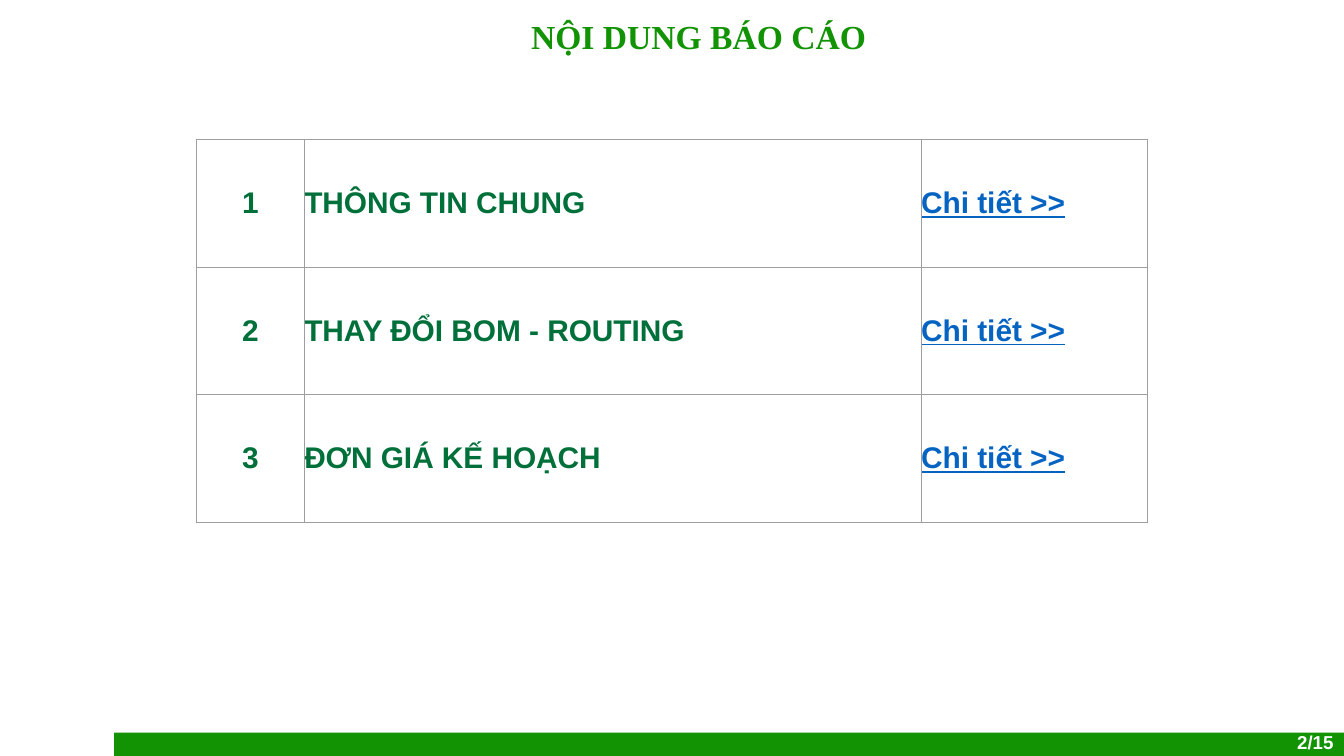
from lxml.etree import SubElement
from pptx import Presentation
from pptx.dml.color import RGBColor
from pptx.enum.shapes import MSO_SHAPE
from pptx.enum.text import MSO_ANCHOR, MSO_AUTO_SIZE, PP_ALIGN
from pptx.oxml.ns import qn
from pptx.util import Cm, Pt

GREEN = RGBColor(0x11, 0x93, 0x03)
DARK_GREEN = RGBColor(0x00, 0x70, 0x3B)
LINK_BLUE = RGBColor(0x05, 0x63, 0xC1)
GRAY = RGBColor(0x9E, 0x9E, 0x9E)
WHITE = RGBColor(0xFF, 0xFF, 0xFF)

SECTIONS = ["THÔNG TIN CHUNG", "THAY ĐỔI BOM - ROUTING", "ĐƠN GIÁ KẾ HOẠCH"]


def write_text(tf, text, *, size, color, font="Arial", align=PP_ALIGN.LEFT,
               anchor=MSO_ANCHOR.MIDDLE, underline=False):
    tf.word_wrap = True
    tf.vertical_anchor = anchor
    p = tf.paragraphs[0]
    p.alignment = align
    r = p.add_run()
    r.text = text
    r.font.name = font
    r.font.size = Pt(size)
    r.font.bold = True
    r.font.underline = underline
    r.font.color.rgb = color


class SlideBuilder:
    accent = GREEN
    border_color = GRAY
    border_width = Pt(0.75)

    def __init__(self, slide):
        self.s = slide

    def title(self, text, left, top, width, height):
        sp = self.s.shapes.title
        sp.left, sp.top, sp.width, sp.height = map(Cm, (left, top, width, height))
        write_text(sp.text_frame, text, size=18, color=self.accent,
                   font="Times New Roman", align=PP_ALIGN.CENTER)
        sp.text_frame.auto_size = MSO_AUTO_SIZE.SHAPE_TO_FIT_TEXT

    def bar(self, left, top, width, height):
        sp = self.s.shapes.add_shape(MSO_SHAPE.RECTANGLE,
                                     *map(Cm, (left, top, width, height)))
        sp.shadow.inherit = False
        sp.fill.solid()
        sp.fill.fore_color.rgb = self.accent
        sp.line.fill.background()

    def page_number(self, text, left, top, width, height):
        sp = self.s.shapes.add_textbox(*map(Cm, (left, top, width, height)))
        write_text(sp.text_frame, text, size=10, color=WHITE, align=PP_ALIGN.RIGHT)

    def border(self, cell):
        tc_pr = cell._tc.get_or_add_tcPr()
        for side in ("lnL", "lnR", "lnT", "lnB"):
            ln = SubElement(tc_pr, qn(f"a:{side}"), w=str(self.border_width))
            fill = SubElement(ln, qn("a:solidFill"))
            SubElement(fill, qn("a:srgbClr"), val=str(self.border_color))

    def table(self, rows, formats, left, top, col_widths, row_height):
        sp = self.s.shapes.add_table(len(rows), len(col_widths), Cm(left), Cm(top),
                                     Cm(sum(col_widths)), Cm(row_height * len(rows)))
        table = sp.table
        table.first_row = table.horz_banding = False
        for col, width in zip(table.columns, col_widths):
            col.width = Cm(width)
        for row, texts in zip(table.rows, rows):
            row.height = Cm(row_height)
            for cell, text, fmt in zip(row.cells, texts, formats):
                self.border(cell)
                cell.fill.background()
                cell.margin_left = cell.margin_right = 0
                cell.margin_top = cell.margin_bottom = 0
                cell.vertical_anchor = MSO_ANCHOR.MIDDLE
                write_text(cell.text_frame, text, size=16, **fmt)


def main():
    prs = Presentation()
    prs.slide_width, prs.slide_height = Cm(25.4), Cm(14.29)
    s = SlideBuilder(prs.slides.add_slide(prs.slide_layouts[5]))
    s.bar(2.16, 13.85, 23.24, 0.44)
    s.page_number("2/15", 23.93, 13.49, 1.52, 1.09)
    s.title("NỘI DUNG BÁO CÁO", 6.27, 0.18, 13.87, 1.02)
    rows = [(str(n), name, "Chi tiết >>") for n, name in enumerate(SECTIONS, 1)]
    formats = [
        {"color": DARK_GREEN, "align": PP_ALIGN.CENTER},
        {"color": DARK_GREEN},
        {"color": LINK_BLUE, "underline": True},
    ]
    s.table(rows, formats, 3.71, 2.64, (2.04, 11.66, 4.27), 2.41)
    prs.save("out.pptx")


if __name__ == "__main__":
    main()
